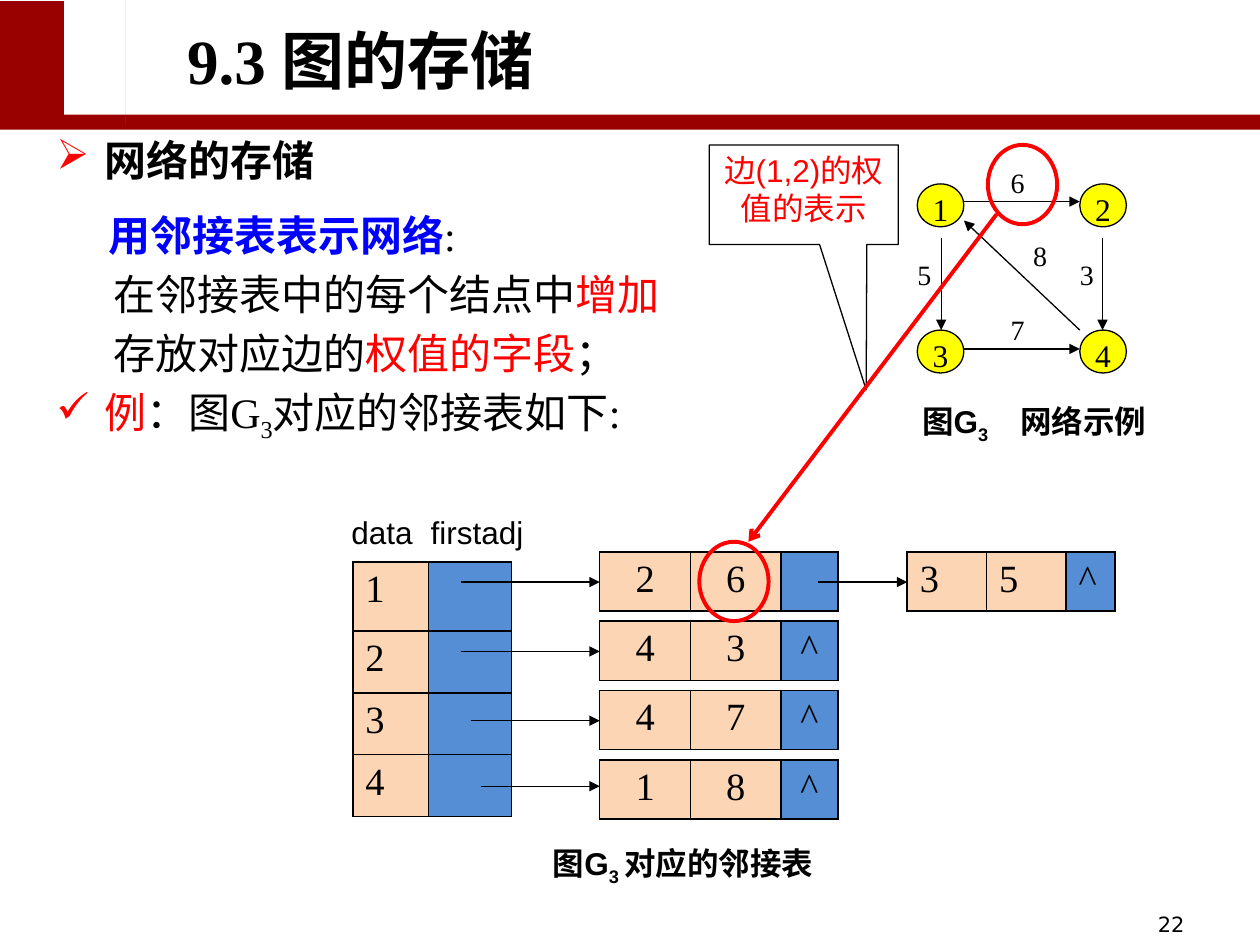
from pptx import Presentation
from pptx.dml.color import RGBColor
from pptx.enum.shapes import MSO_CONNECTOR, MSO_SHAPE
from pptx.enum.text import MSO_ANCHOR, PP_ALIGN
from pptx.oxml import parse_xml
from pptx.oxml.ns import nsdecls
from pptx.util import Inches, Pt

COLORS = {
    "black": "000000", "white": "FFFFFF", "band": "990000", "hexagon": "EA6103",
    "red": "FF0000", "blue": "0000FF", "node": "FFFF00", "data": "FCD5B5", "link": "558ED5",
}
SERIF, SANS, NUMBER = "Times New Roman", "Arial", "DejaVu Sans"


def rgb(name):
    return RGBColor.from_string(COLORS[name])


def element(tag, attributes="", content=""):
    return parse_xml(f"<a:{tag} {nsdecls('a')} {attributes}>{content}</a:{tag}>")


def solid(name):
    return f'<a:solidFill><a:srgbClr val="{COLORS[name]}"/></a:solidFill>'


class SlideBuilder:
    def __init__(self, page):
        self.page = page
        self.shapes = page.shapes

    def add_spans(self, para, spans, size, font=SERIF, bold=False, align=PP_ALIGN.LEFT):
        para.alignment = align
        for words, *style in spans:
            span = para.add_run()
            span.text = words
            span.font.size = Pt(size)
            span.font.name = font
            span.font.bold = bold or "bold" in style
            color = next((name for name in style if name in COLORS), "black")
            span.font.color.rgb = rgb(color)
            if "sub" in style:
                span.font._element.set("baseline", "-25000")

    def tab(self, para, position):
        stop = f'<a:tab pos="{Inches(position)}" algn="l"/>'
        para._p.get_or_add_pPr().append(element("tabLst", "", stop))

    def bullet(self, para, mark):
        properties = para._p.get_or_add_pPr()
        properties.append(element("buClr", "", f'<a:srgbClr val="{COLORS["red"]}"/>'))
        properties.append(element("buChar", f'char="{mark}"'))

    def indent(self, para, left, first=0):
        properties = para._p.get_or_add_pPr()
        properties.set("marL", str(Inches(left)))
        properties.set("indent", str(Inches(first)))

    def text(self, area, spans=(), size=18, inset=True, tab=None, anchor=MSO_ANCHOR.TOP, **style):
        box = self.shapes.add_textbox(*map(Inches, area))
        frame = box.text_frame
        frame.word_wrap = True
        frame.vertical_anchor = anchor
        if not inset:
            self.clear_margins(frame)
        para = frame.paragraphs[0]
        if tab:
            self.tab(para, tab)
        self.add_spans(para, spans, size, **style)
        return frame

    def clear_margins(self, frame):
        frame.margin_left = frame.margin_right = frame.margin_top = frame.margin_bottom = 0

    def paint(self, shape, fill=None, line=None, width=0.75):
        shape.shadow.inherit = False
        if fill:
            shape.fill.solid()
            shape.fill.fore_color.rgb = rgb(fill)
        else:
            shape.fill.background()
        if line:
            shape.line.color.rgb = rgb(line)
            shape.line.width = Pt(width)
        else:
            shape.line.fill.background()

    def shape(self, kind, area, **look):
        shape = self.shapes.add_shape(kind, *map(Inches, area))
        self.paint(shape, **look)
        return shape

    def node(self, label, left, top):
        circle = self.shape(MSO_SHAPE.OVAL, (left, top, 0.37, 0.34), fill="node", line="black")
        frame = circle.text_frame
        self.clear_margins(frame)
        frame.vertical_anchor = MSO_ANCHOR.TOP
        self.add_spans(frame.paragraphs[0], [(label,)], 18, align=PP_ALIGN.CENTER)

    def outline(self, points, fill):
        builder = self.shapes.build_freeform(*points[0], scale=Inches(1))
        builder.add_line_segments(points[1:], close=True)
        self.paint(builder.convert_to_shape(), fill)

    def arrow(self, start, end, color="black", width=0.75, head="triangle"):
        line = self.shapes.add_connector(MSO_CONNECTOR.STRAIGHT, *map(Inches, start + end))
        line.line.color.rgb = rgb(color)
        line.line.width = Pt(width)
        line.line._get_or_add_ln().append(element("tailEnd", f'type="{head}"'))
        line._element.spPr.append(element("effectLst"))

    def table(self, left, top, widths, heights, rows, align=PP_ALIGN.CENTER):
        area = (left, top, sum(widths), sum(heights))
        table = self.shapes.add_table(len(rows), len(widths), *map(Inches, area)).table
        table.first_row = table.horz_banding = False
        for column, width in zip(table.columns, widths):
            column.width = Inches(width)
        for row, height, values in zip(table.rows, heights, rows):
            row.height = Inches(height)
            for index, (cell, value) in enumerate(zip(row.cells, values)):
                cell.fill.solid()
                cell.fill.fore_color.rgb = rgb("link" if index == len(widths) - 1 else "data")
                if value:
                    self.add_spans(cell.text_frame.paragraphs[0], [(value,)], 22, align=align)
                properties = cell._tc.get_or_add_tcPr()
                for order, side in enumerate(("lnL", "lnR", "lnT", "lnB")):
                    border = element(side, f'w="{Pt(1)}"', solid("black"))
                    properties.insert(order, border)


def add_heading(slide):
    slide.shape(MSO_SHAPE.RECTANGLE, (0, 0.01, 10, 1.02), fill="band")
    slide.shape(MSO_SHAPE.RECTANGLE, (0.51, 0, 9.49, 0.91), fill="white")
    corner = [(1.15, 0.13), (1.2, 0.14), (1.23, 0.17), (1.4, 0.46), (1.42, 0.5)]
    upper = [(1.96 - x, y) for x, y in reversed(corner)] + corner
    lower = [(x, 0.99 - y) for x, y in reversed(upper[1:-1])]
    slide.outline(upper + lower, "hexagon")
    slide.text((-1.38, 0.12, 8.48, 0.71), [("9.3 图的存储",)], 36, bold=True, align=PP_ALIGN.CENTER)
    slide.text((7.17, 7.21, 2.33, 0.25), [("22",)], 12, font=NUMBER,
               align=PP_ALIGN.RIGHT, anchor=MSO_ANCHOR.MIDDLE)


def add_body(slide):
    lines = [
        ("➢", 0.38, 0, [("网络的存储", "bold")]),
        (None, 0.41, 14, [("用邻接表表示网络", "bold", "blue"), (":",)]),
        (None, 0.45, 4.8, [("在邻接表中的每个结点中",), ("增加", "red")]),
        (None, 0.45, 4.8, [("存放对应边的",), ("权值的字段", "red"), ("；",)]),
        ("✓", 0.38, 4.8, [("例", "red"), ("：图G",), ("3", "sub"), ("对应的邻接表如下:",)]),
    ]
    frame = slide.text((0.35, 1.02, 9, 5.12))
    for number, (mark, left, before, spans) in enumerate(lines):
        para = frame.add_paragraph() if number else frame.paragraphs[0]
        slide.indent(para, left, -left if mark else 0)
        if mark:
            slide.bullet(para, mark)
        if before:
            para.space_before = Pt(before)
        slide.add_spans(para, spans, 24)


def add_network(slide):
    for label, left, top in (("1", 7.28, 1.46), ("2", 8.57, 1.46), ("3", 7.28, 2.62), ("4", 8.57, 2.62)):
        slide.node(label, left, top)
    for y in (1.6, 2.77):
        slide.arrow((7.65, y), (8.57, y))
    for x in (7.47, 8.75):
        slide.arrow((x, 1.89), (x, 2.62))
    slide.arrow((8.57, 2.62), (7.65, 1.75))
    weights = (("6", 8.02, 1.31), ("5", 7.28, 2.04), ("8", 8.2, 1.89), ("3", 8.57, 2.04), ("7", 8.02, 2.48))
    for weight, left, top in weights:
        slide.text((left, top, 0.18, 0.29), [(weight,)], 16, inset=False)
    slide.text((7.22, 3.14, 2.05, 0.4), [("图G",), ("3", "sub"), ("\t网络示例",)],
               font=SANS, bold=True, tab=0.78)


def add_adjacency_list(slide):
    slide.text((2.69, 3.99, 1.6, 0.47), [("data\tfirstadj",)], font=SANS, tab=0.63, anchor=MSO_ANCHOR.MIDDLE)
    slide.table(2.8, 4.46, (0.6, 0.66), (0.55, 0.49, 0.49, 0.49),
                [(vertex, "") for vertex in "1234"], PP_ALIGN.LEFT)
    edges = (("2", "6", ""), ("4", "3", "^"), ("4", "7", "^"), ("1", "8", "^"))
    for index, edge in enumerate(edges):
        slide.table(4.76, 4.38 + 0.55 * index, (0.72, 0.72, 0.45), (0.47,), [edge])
    slide.table(7.2, 4.38, (0.63, 0.63, 0.39), (0.47,), [("3", "5", "^")], PP_ALIGN.LEFT)
    links = ((3.66, 4.76, 4.62), (6.49, 7.2, 4.62), (3.66, 4.76, 5.17), (3.74, 4.76, 5.72), (3.82, 4.76, 6.24))
    for start, end, y in links:
        slide.arrow((start, y), (end, y))
    slide.text((4.29, 6.65, 2.52, 0.4), [("图G",), ("3 ", "sub"), ("对应的邻接表",)], font=SANS, bold=True)


def add_weight_callout(slide):
    callout = slide.shape(MSO_SHAPE.RECTANGULAR_CALLOUT, (5.63, 1.15, 1.5, 0.79), line="black")
    callout.adjustments[0], callout.adjustments[1] = 0.33, 1.96
    frame = callout.text_frame
    frame.vertical_anchor = MSO_ANCHOR.TOP
    slide.add_spans(frame.paragraphs[0], [("边(1,2)的权值的表示", "red")], 18, SANS, align=PP_ALIGN.CENTER)
    for left, top in ((5.55, 4.3), (7.84, 1.15)):
        slide.shape(MSO_SHAPE.OVAL, (left, top, 0.55, 0.63), line="red", width=2.25)
    slide.arrow((7.91, 1.7), (5.94, 4.3), "red", 2.25, "arrow")


def main():
    deck = Presentation()
    deck.slide_width, deck.slide_height = Inches(10), Inches(7.5)
    slide = SlideBuilder(deck.slides.add_slide(deck.slide_layouts[6]))
    add_heading(slide)
    add_body(slide)
    add_network(slide)
    add_adjacency_list(slide)
    add_weight_callout(slide)
    deck.save("out.pptx")


if __name__ == "__main__":
    main()
